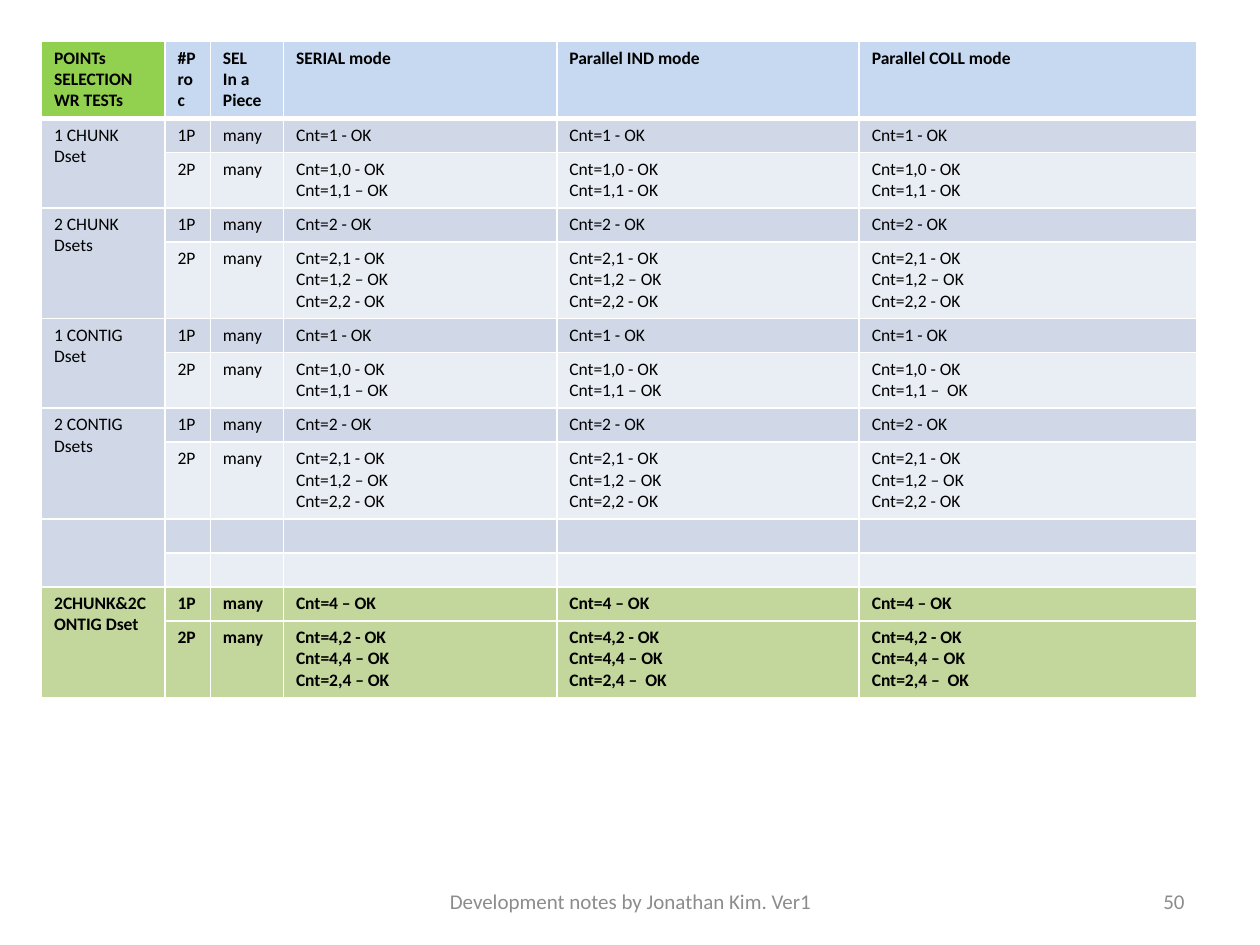
"""Build the point selection write test results slide."""
from lxml import etree
from pptx import Presentation
from pptx.dml.color import RGBColor
from pptx.enum.text import MSO_ANCHOR, PP_ALIGN
from pptx.oxml.ns import qn
from pptx.util import Inches, Pt

MIDDLE = MSO_ANCHOR.MIDDLE
CENTER, RIGHT = PP_ALIGN.CENTER, PP_ALIGN.RIGHT

FONT = "Calibri"
BLACK, GRAY, WHITE = "000000", "8C8C8C", "FFFFFF"
CORNER_FILL, HEADER_FILL, TOTAL_FILL = "92D050", "C6D9F1", "C3D69B"
BANDS = ("D0D8E8", "E9EDF4")

HEADER = ("POINTs SELECTION WR TESTs", "#Proc", "SEL\nIn a Piece",
          "SERIAL mode", "Parallel IND mode", "Parallel COLL mode")
ONE = ("Cnt=1 - OK",) * 3
TWO = ("Cnt=2 - OK",) * 3
TWO_PAIRS = ("Cnt=2,1 - OK\nCnt=1,2 – OK\nCnt=2,2 - OK",) * 3
GROUPS = [
    ("1 CHUNK Dset", ONE, ("Cnt=1,0 - OK\nCnt=1,1 – OK",
                           "Cnt=1,0 - OK\nCnt=1,1 - OK",
                           "Cnt=1,0 - OK\nCnt=1,1 - OK")),
    ("2 CHUNK Dsets", TWO, TWO_PAIRS),
    ("1 CONTIG Dset", ONE, ("Cnt=1,0 - OK\nCnt=1,1 – OK",
                            "Cnt=1,0 - OK\nCnt=1,1 – OK",
                            "Cnt=1,0 - OK\nCnt=1,1 –  OK")),
    ("2 CONTIG Dsets", TWO, TWO_PAIRS),
    ("", ("",) * 3, ("",) * 3),
    ("2CHUNK&2CONTIG Dset", ("Cnt=4 – OK",) * 3,
     ("Cnt=4,2 - OK\nCnt=4,4 – OK\nCnt=2,4 – OK",
      "Cnt=4,2 - OK\nCnt=4,4 – OK\nCnt=2,4 –  OK",
      "Cnt=4,2 - OK\nCnt=4,4 – OK\nCnt=2,4 –  OK")),
]
COLUMN_WIDTHS = (0.98, 0.36, 0.58, 2.17, 2.4, 2.68)
ROW_HEIGHTS = {1: 0.27, 2: 0.44, 3: 0.61}
FOOTERS = [
    ("Development notes by Jonathan Kim. Ver1", 3.42, 3.17, CENTER),
    ("50", 7.17, 2.33, RIGHT),
]


def color(value):
    return RGBColor.from_string(value)


def style(paragraph, size, value, bold=False):
    font = paragraph.font
    font.name, font.size, font.bold = FONT, Pt(size), bold
    font.color.rgb = color(value)


def set_borders(cell, top, bottom):
    properties = cell._tc.get_or_add_tcPr()
    for side, width in (("L", 1), ("R", 1), ("T", top), ("B", bottom)):
        line = etree.SubElement(properties, qn(f"a:ln{side}"), w=str(Pt(width)))
        fill = etree.SubElement(line, qn("a:solidFill"))
        etree.SubElement(fill, qn("a:srgbClr"), val=WHITE)


def fill_cell(cell, text, fill, bold, top, bottom):
    set_borders(cell, top, bottom)
    cell.fill.solid()
    cell.fill.fore_color.rgb = color(fill)
    cell.text = text
    for paragraph in cell.text_frame.paragraphs:
        style(paragraph, 10, BLACK, bold)
        if not text:
            paragraph._p.get_or_add_endParaRPr().set("sz", "1000")


def table_rows():
    rows = [(HEADER, (CORNER_FILL,) + (HEADER_FILL,) * 5, True, 3)]
    for name, *results in GROUPS:
        total = name == GROUPS[-1][0]
        for index, counts in enumerate(results):
            band = TOTAL_FILL if total else BANDS[index]
            first = TOTAL_FILL if total else BANDS[0]
            labels = (f"{index + 1}P", "many") if name else ("", "")
            texts = ("" if index else name,) + labels + counts
            lines = counts[0].count("\n") + 1
            rows.append((texts, (first,) + (band,) * 5, total, lines))
    return rows


def add_results(page):
    rows = table_rows()
    heights = [ROW_HEIGHTS[lines] for *_, lines in rows]
    frame = page.shapes.add_table(len(rows), len(HEADER), Inches(0.33), Inches(0.33),
                                  Inches(sum(COLUMN_WIDTHS)), Inches(sum(heights)))
    table = frame.table
    for column, width in zip(table.columns, COLUMN_WIDTHS):
        column.width = Inches(width)
    for row, (texts, fills, bold, lines) in enumerate(rows):
        table.rows[row].height = Inches(ROW_HEIGHTS[lines])
        top, bottom = 3 if row == 1 else 1, 3 if row == 0 else 1
        for column, (text, fill) in enumerate(zip(texts, fills)):
            fill_cell(table.cell(row, column), text, fill, bold, top, bottom)
    for row in range(1, len(rows), 2):
        table.cell(row, 0).merge(table.cell(row + 1, 0))


def add_footer(page, text, left, width, alignment):
    box = page.shapes.add_textbox(Inches(left), Inches(6.95), Inches(width), Inches(0.4))
    frame = box.text_frame
    frame.word_wrap = True
    frame.vertical_anchor = MIDDLE
    frame.text = text
    paragraph = frame.paragraphs[0]
    paragraph.alignment = alignment
    style(paragraph, 12, GRAY)


def main():
    deck = Presentation()
    deck.slide_width, deck.slide_height = Inches(10), Inches(7.5)
    page = deck.slides.add_slide(deck.slide_layouts[6])
    add_results(page)
    for footer in FOOTERS:
        add_footer(page, *footer)
    deck.save("out.pptx")


if __name__ == "__main__":
    main()
